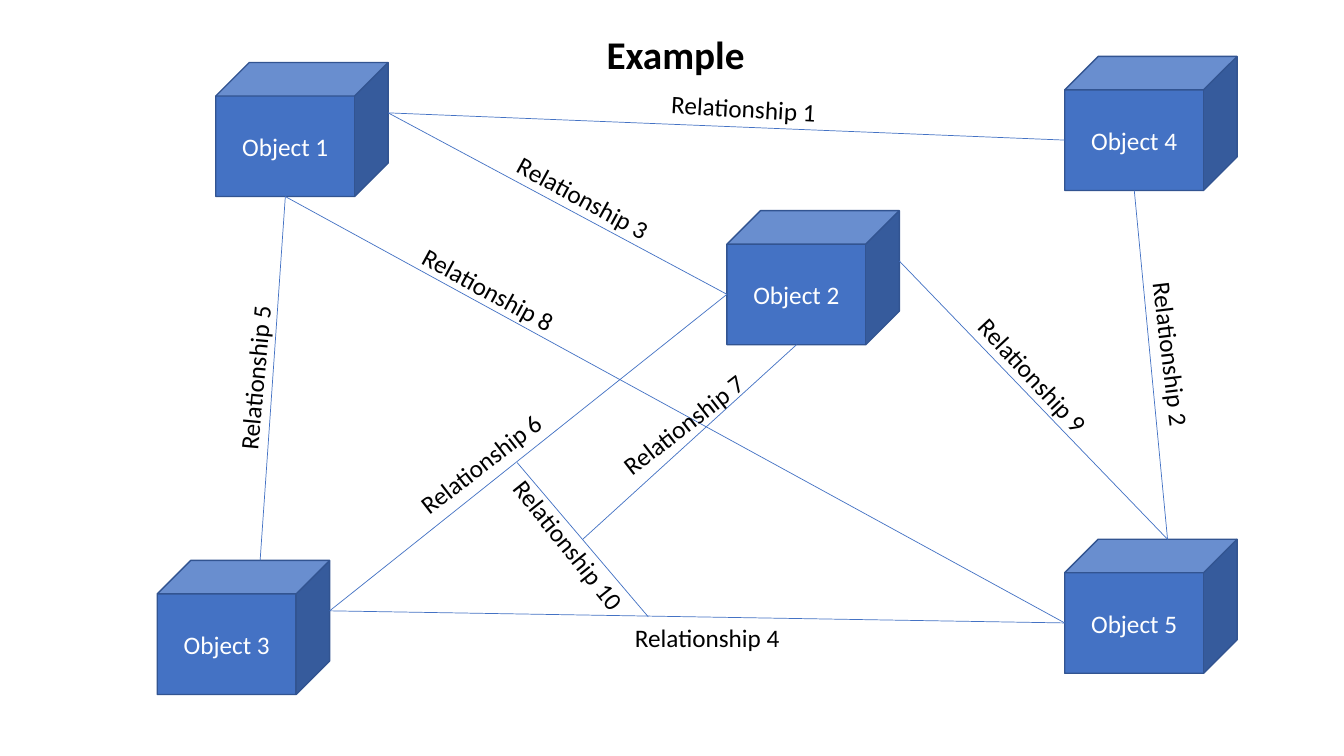
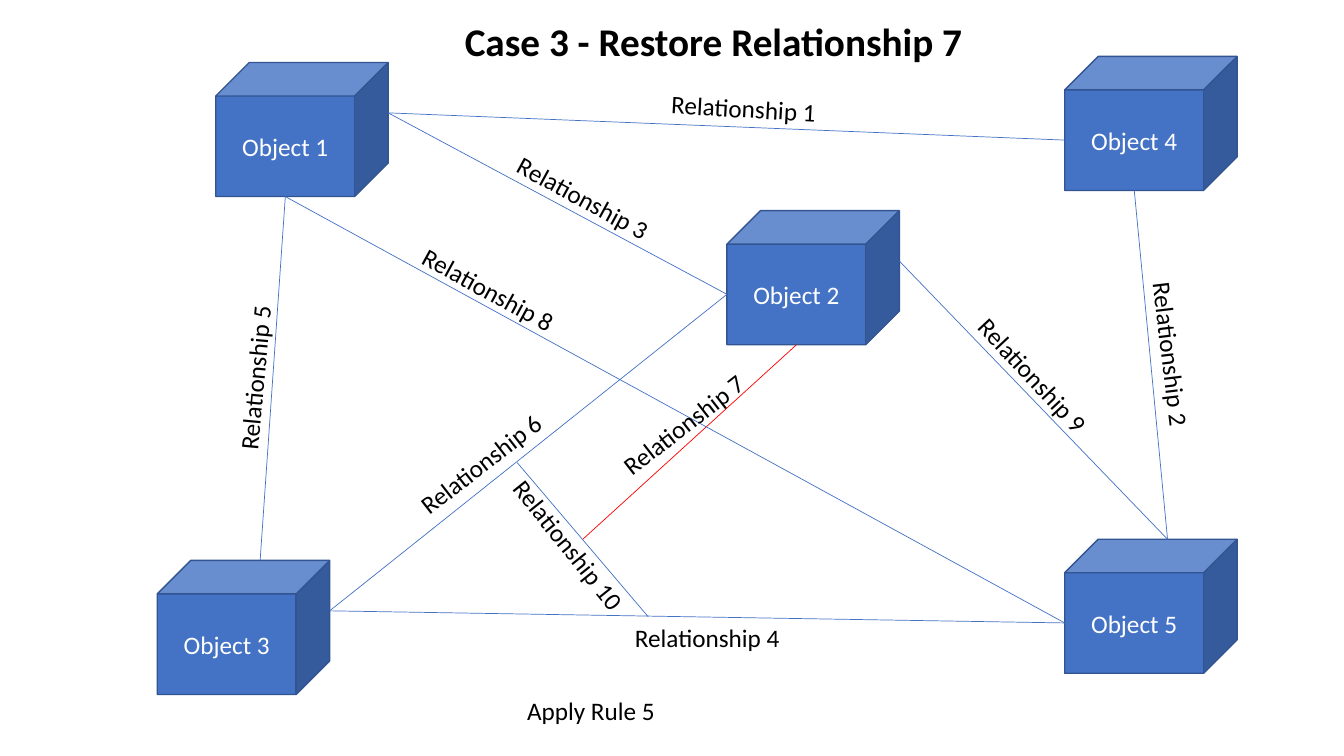
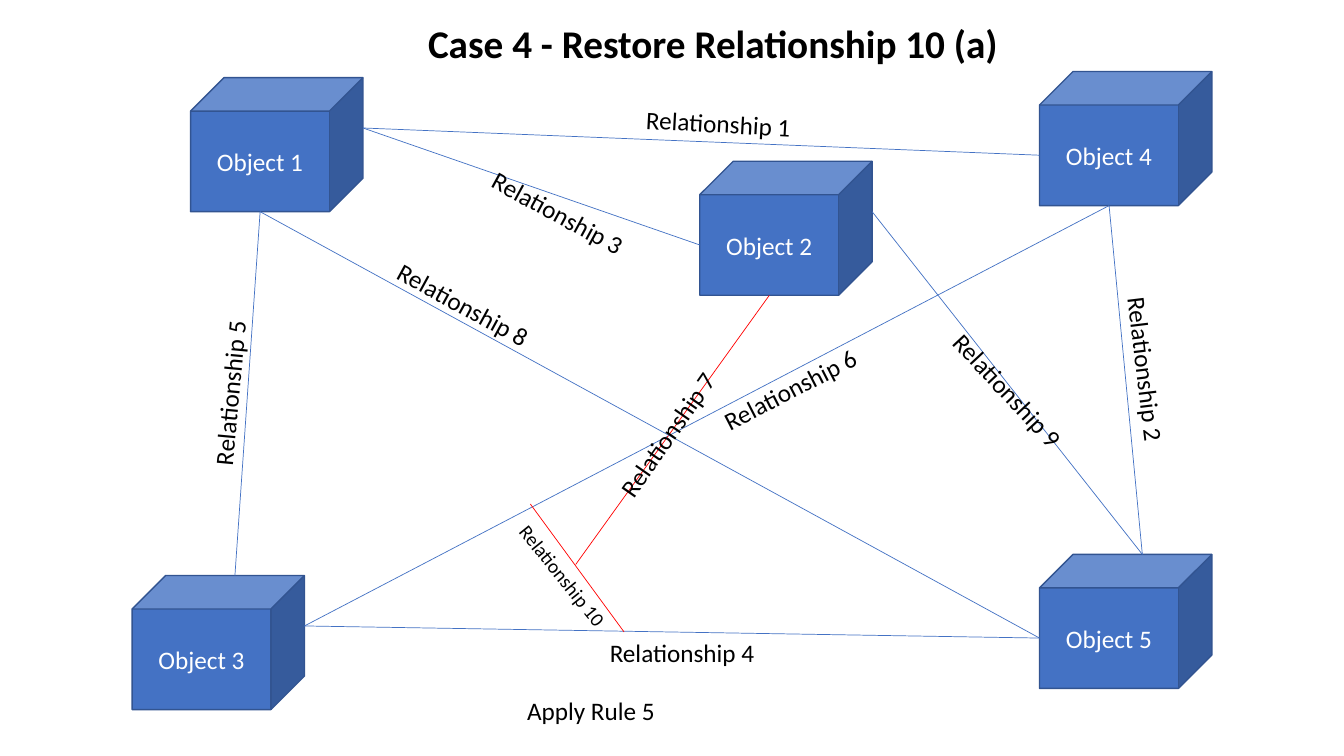
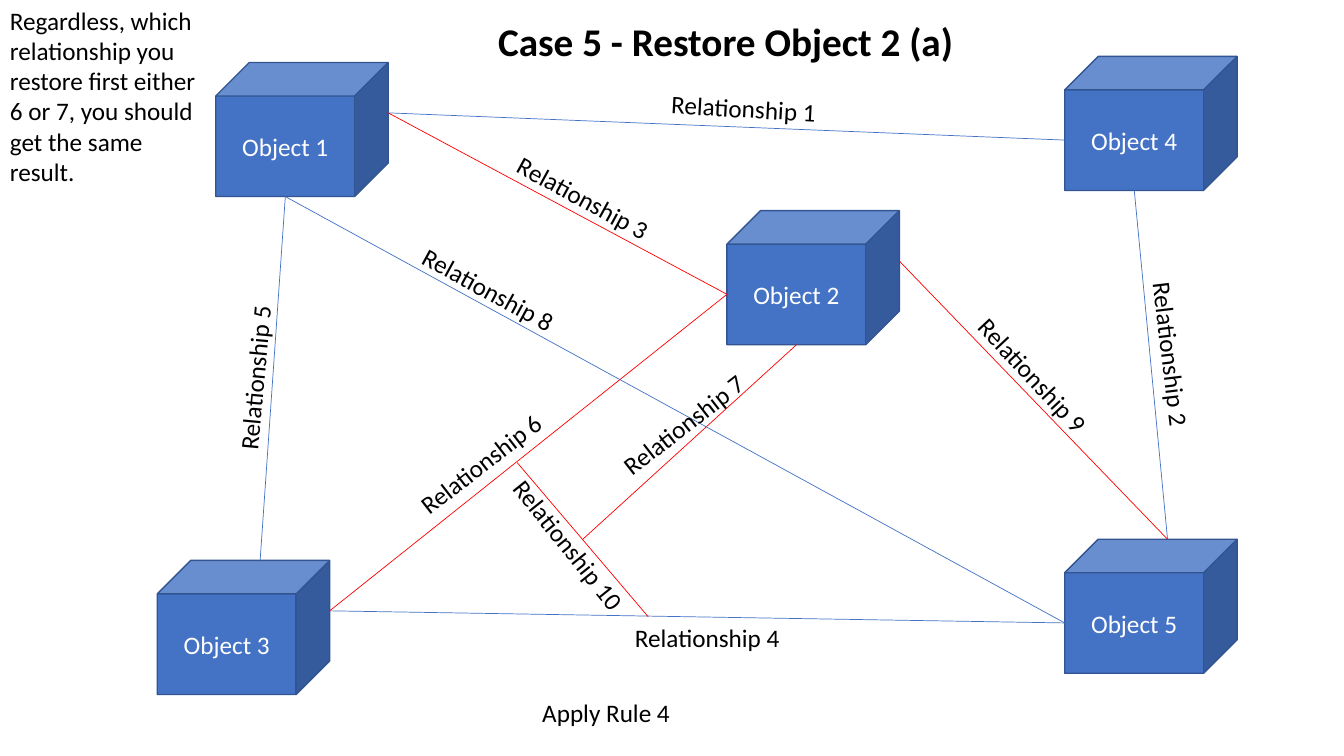
from lxml import etree
from pptx import Presentation
from pptx import util as u
from pptx.dml import color
from pptx.enum import shapes, text
from pptx.oxml import ns

BLUE, EDGE, RED, BLACK, WHITE = "4472C4", "325491", "FF0000", "000000", "FFFFFF"
FONT = "Calibri"
CUBE_W, CUBE_H = 1.71, 1.33
PORTS = {"left": (0, 0.83), "right": (1.71, 0.5), "top": (1.02, 0), "base": (0.69, 1.33)}

CUBES = {1: (2.14, 0.62), 2: (7.21, 2.09), 3: (1.56, 5.56), 4: (10.56, 0.56), 5: (10.56, 5.35)}
LINKS = {
    1: ((1, "right"), (4, "left")),
    2: ((4, "base"), (5, "top")),
    3: ((1, "right"), (2, "left")),
    4: ((3, "right"), (5, "left")),
    5: ((1, "base"), (3, "top")),
    6: ((3, "right"), (2, "left")),
    7: ((5.78, 5.35), (2, "base")),
    8: ((1, "base"), (5, "left")),
    9: ((2, "right"), (5, "top")),
    10: ((5.13, 4.59), (6.43, 6.12)),
}
TAGS = {
    1: (6.52, 0.87, 3.1), 2: (10.76, 3.31, 83.2), 3: (4.93, 1.76, 28.6),
    4: (6.16, 6.12, 0), 5: (1.67, 3.55, 275.2), 6: (3.91, 4.4, 322.2),
    7: (5.92, 4.01, 322.2), 8: (3.99, 2.67, 28.6), 9: (9.39, 3.52, 47),
    10: (4.73, 5.2, 51.3),
}
SHIFT = (-0.25, 0.15)
MOVED = {
    "cubes": {2: (6.94, 1.6)},
    "links": {6: ((3, "right"), (4, "base")), 7: ((5.71, 5.6), (2, "base")),
              10: ((5.26, 5), (6.19, 6.27))},
    "tags": {6: (6.98, 3.66, 332.8), 7: (5.76, 4.11, 304.8), 10: (4.67, 5.54, 51.3)},
}


def rgb(code):
    """Turn a hex string into a colour."""
    return color.RGBColor.from_string(code)


def write(shape, words, size=18, tint=BLACK, align="CENTER", bold=False):
    """Put one styled paragraph into a shape."""
    frame = shape.text_frame
    frame.word_wrap = True
    para = frame.paragraphs[0]
    para.alignment = getattr(text.PP_ALIGN, align)
    run = para.add_run()
    run.text = words
    for name, value in {"name": FONT, "size": u.Pt(size), "bold": bold}.items():
        setattr(run.font, name, value)
    run.font.color.rgb = rgb(tint)


def add_text(group, words, left, top, width, height=0.4, turn=0, anchor="TOP", **style):
    """Add a text box that grows with its words."""
    box = group.add_textbox(*map(u.Inches, (left, top, width, height)))
    box.rotation = turn
    write(box, words, **style)
    box.text_frame.auto_size = text.MSO_AUTO_SIZE.SHAPE_TO_FIT_TEXT
    box.text_frame.vertical_anchor = getattr(text.MSO_ANCHOR, anchor)


def add_cube(group, words, left, top):
    """Add one labelled object cube."""
    cube = group.add_shape(shapes.MSO_SHAPE.CUBE, *map(u.Inches, (left, top, CUBE_W, CUBE_H)))
    cube.shadow.inherit = False
    cube.fill.solid()
    cube.fill.fore_color.rgb = rgb(BLUE)
    cube.line.color.rgb = rgb(EDGE)
    cube.line.width = u.Pt(1)
    write(cube, words, tint=WHITE)
    cube.text_frame.vertical_anchor = text.MSO_ANCHOR.MIDDLE


def find(end, cubes):
    """Give the point of a cube port, or a free point itself."""
    if end[1] not in PORTS:
        return end
    return tuple(a + b for a, b in zip(cubes[end[0]], PORTS[end[1]]))


def add_link(group, start, stop, tint):
    """Add one thin straight line."""
    line = group.add_connector(shapes.MSO_CONNECTOR.STRAIGHT, *map(u.Inches, start + stop))
    line.line.color.rgb = rgb(tint)
    line.line.width = u.Pt(0.5)
    etree.SubElement(line._element.spPr, ns.qn("a:effectLst"))


def move(spots):
    """Shift every place by the same step."""
    return {key: (spot[0] + SHIFT[0], spot[1] + SHIFT[1], *spot[2:]) for key, spot in spots.items()}


def add_graph(slide, reds=(), moved=False):
    """Draw the cubes, their links and the link labels."""
    cubes, links, tags = CUBES, LINKS, TAGS
    if moved:
        cubes = move(cubes) | MOVED["cubes"]
        links = links | MOVED["links"]
        tags = move(tags) | MOVED["tags"]
    group = slide.shapes.add_group_shape().shapes
    for key, spot in cubes.items():
        add_cube(group, f"Object {key}", *spot)
    for key, ends in links.items():
        start, stop = (find(end, cubes) for end in ends)
        add_link(group, start, stop, RED if key in reds else BLUE)
    for key, (left, top, turn) in tags.items():
        small = moved and key == 10
        add_text(group, f"Relationship {key}", left, top, 1.82 if key == 10 else 1.71,
                 0.34 if small else 0.4, turn, "MIDDLE", size=14 if small else 18)


def add_page(deck, title, spot, reds=(), moved=False, notes=()):
    """Add one slide with title, graph and side texts."""
    slide = deck.slides.add_slide(deck.slide_layouts[6])
    add_text(slide.shapes, title, *spot, 0.57, size=28, bold=True)
    add_graph(slide, reds, moved)
    for words, *place in notes:
        add_text(slide.shapes, words, *place, align="LEFT")


def main():
    """Build and save the deck."""
    deck = Presentation()
    deck.slide_width, deck.slide_height = u.Inches(13.33), u.Inches(7.5)
    rule = ("Apply Rule 5", 5.13, 6.85, 3.46)
    hint = ("Regardless, which relationship you restore first either 6 or 7, "
            "you should get the same result.", 0, 0, 2.1, 1.92)
    add_page(deck, "Example", (4.82, 0.25, 3.76))
    add_page(deck, "Case 3 - Restore Relationship 7", (4.42, 0.12, 5.31), {7}, notes=[rule])
    add_page(deck, "Case 4 - Restore Relationship 10 (a)", (4, 0.14, 6.14), {7, 10}, True, [rule])
    add_page(deck, "Case 5 - Restore Object 2 (a)", (4.42, 0.12, 5.55), {3, 6, 7, 9, 10},
             notes=[("Apply Rule 4", 5.28, 6.87, 3.46), hint])
    deck.save("out.pptx")


if __name__ == "__main__":
    main()
